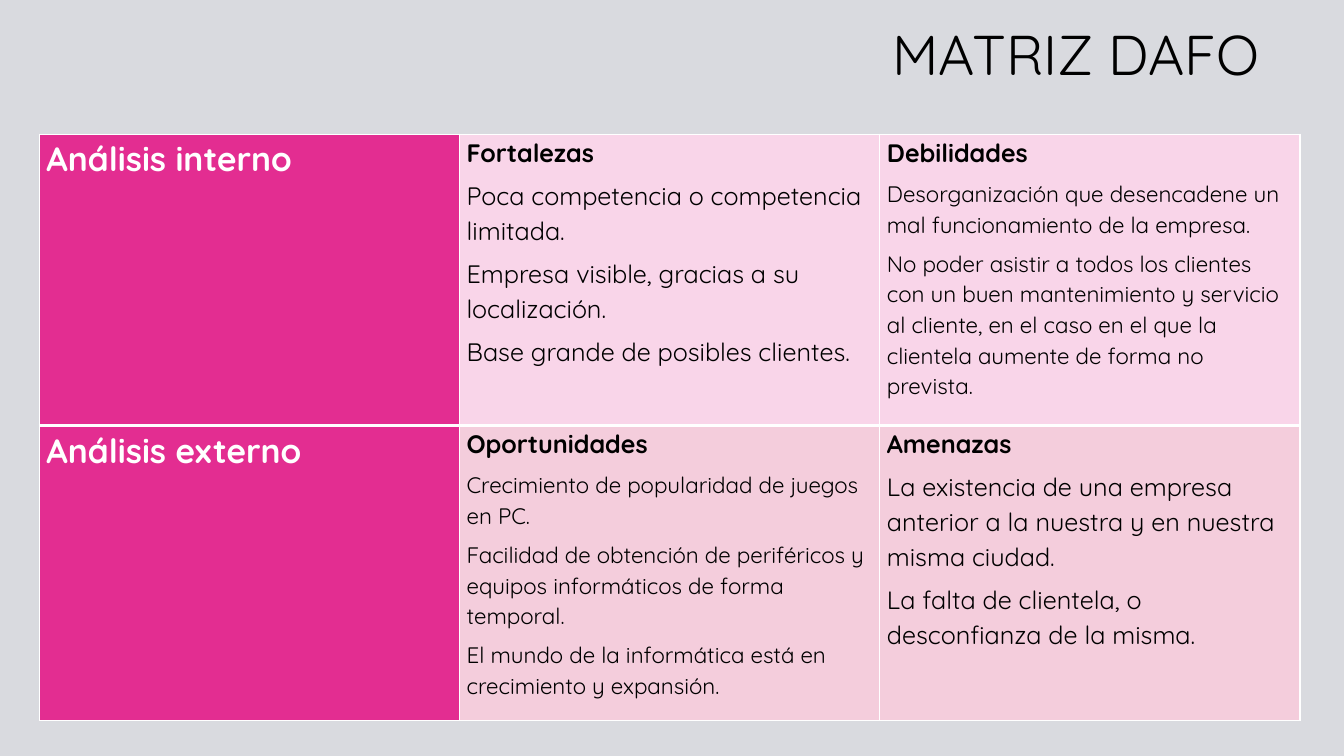
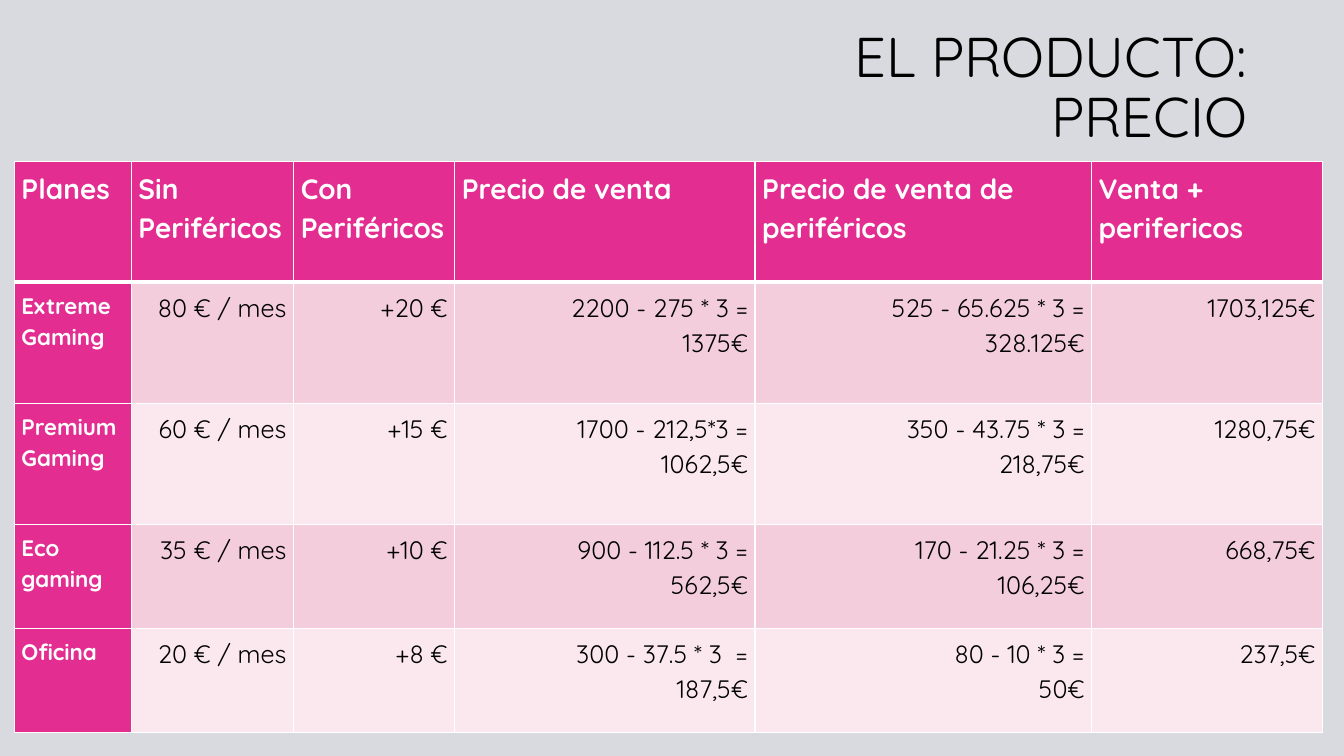
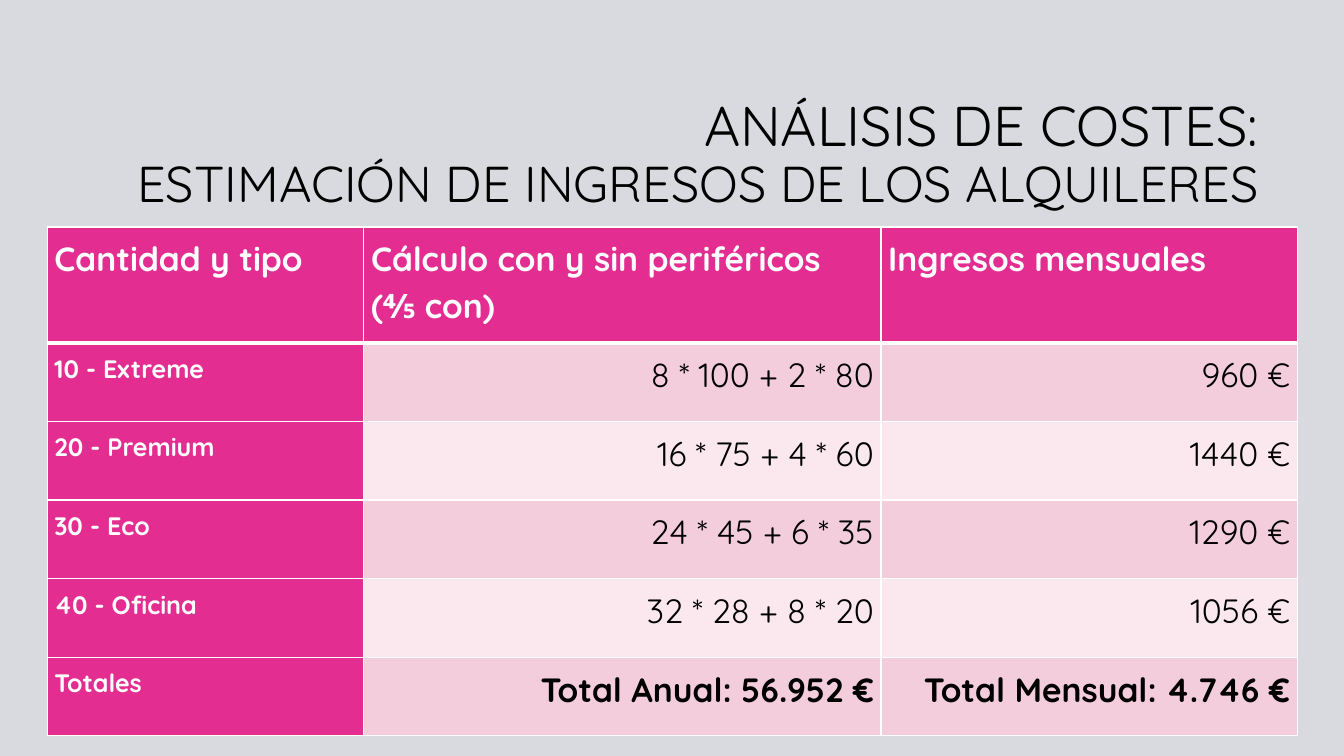
from lxml import etree
from pptx import Presentation
from pptx.dml.color import RGBColor
from pptx.enum.text import MSO_ANCHOR, MSO_AUTO_SIZE, PP_ALIGN
from pptx.oxml.ns import qn
from pptx.util import Cm, Pt

LEFT, RIGHT = PP_ALIGN.LEFT, PP_ALIGN.RIGHT
TOP, MIDDLE = MSO_ANCHOR.TOP, MSO_ANCHOR.MIDDLE
FIXED = MSO_AUTO_SIZE.NONE

GREY = RGBColor(0xD9, 0xDA, 0xDF)
BLACK = RGBColor(0x00, 0x00, 0x00)
WHITE = RGBColor(0xFF, 0xFF, 0xFF)
PINK = RGBColor(0xE3, 0x2D, 0x91)
LILAC = RGBColor(0xF9, 0xD5, 0xE9)
ROSE = RGBColor(0xF4, 0xCD, 0xDC)
PALE = RGBColor(0xFA, 0xE8, 0xEE)
FONT = "Quicksand"


def put(par, text, size=18, color=BLACK, bold=False, align=LEFT, lead=1.1, after=0):
    par.alignment = align
    par.line_spacing = lead
    par.space_before = Pt(0)
    par.space_after = Pt(after)
    run = par.add_run()
    run.text = text
    run.font.name = FONT
    run.font.size = Pt(size)
    run.font.bold = bold
    run.font.color.rgb = color


class Deck:
    def __init__(self):
        self.show = Presentation()
        self.show.slide_width = Cm(33.87)
        self.show.slide_height = Cm(19.05)
        back = self.show.slide_master.background.fill
        back.solid()
        back.fore_color.rgb = GREY
        self.slide = None

    def title(self, lines, left, top, width, height):
        self.slide = self.show.slides.add_slide(self.show.slide_layouts[5])
        box = self.slide.shapes.title
        box.left, box.top, box.width, box.height = map(Cm, (left, top, width, height))
        frame = box.text_frame
        frame.word_wrap = True
        frame.auto_size = FIXED
        frame.vertical_anchor = MIDDLE
        par = frame.paragraphs[0]
        for place, (text, size) in enumerate(lines):
            if place:
                par.add_line_break()
            put(par, text, size=size, align=RIGHT, lead=0.9)

    def grid(self, left, top, cols, rows):
        frame = self.slide.shapes.add_table(
            len(rows), len(cols), Cm(left), Cm(top), Cm(sum(cols)), Cm(sum(rows)))
        table = frame.table
        table.first_row = table.horz_banding = False
        for col, width in zip(table.columns, cols):
            col.width = Cm(width)
        for row, height in zip(table.rows, rows):
            row.height = Cm(height)
        return table

    def cell(self, table, row, col, fill, pars, pad=0.18, **style):
        cell = table.cell(row, col)
        cell.fill.solid()
        cell.fill.fore_color.rgb = fill
        cell.margin_left = cell.margin_right = Cm(0.18)
        cell.margin_top = cell.margin_bottom = Cm(pad)
        cell.vertical_anchor = TOP
        frame = cell.text_frame
        for place, (text, look) in enumerate(pars):
            par = frame.add_paragraph() if place else frame.paragraphs[0]
            put(par, text, **{**style, **look})
        self.edge(cell, row)

    def edge(self, cell, row):
        props = cell._tc.get_or_add_tcPr()
        wide = {"T": 3 if row == 1 else 1, "B": 3 if row == 0 else 1}
        for place, side in enumerate("LRTB"):
            line = etree.Element(qn("a:ln" + side), w=str(Pt(wide.get(side, 1))))
            paint = etree.SubElement(line, qn("a:solidFill"))
            etree.SubElement(paint, qn("a:srgbClr"), val=str(WHITE))
            props.insert(place, line)

    def prices(self, left, top, cols, rows, data, head, side, body, strong=()):
        table = self.grid(left, top, cols, rows)
        for row, texts in enumerate(data):
            for col, text in enumerate(texts):
                if row == 0 or col == 0:
                    fill = PINK
                    style = dict(size=side if row else head, color=WHITE, bold=True)
                else:
                    fill = ROSE if row % 2 else PALE
                    style = dict(size=body, align=RIGHT, bold=row in strong)
                pars = [(line, {}) for line in text.split("\n")]
                self.cell(table, row, col, fill, pars, **style)


def matrix(deck):
    deck.title([("MATRIZ DAFO", 40)], 8.05, 0.43, 23.93, 2.01)
    table = deck.grid(0.99, 3.38, [10.59] * 3, [7.34, 7.44])
    data = [
        ("Análisis interno", LILAC, [
            ("Fortalezas", 18, [
                "Poca competencia o competencia limitada.",
                "Empresa visible, gracias a su localización.",
                "Base grande de posibles clientes."]),
            ("Debilidades", 16, [
                "Desorganización que desencadene un mal funcionamiento de la empresa.",
                "No poder asistir a todos los clientes con un buen mantenimiento y "
                "servicio al cliente, en el caso en el que la clientela aumente de "
                "forma no prevista."])]),
        ("Análisis externo", ROSE, [
            ("Oportunidades", 16, [
                "Crecimiento de popularidad de juegos en PC.",
                "Facilidad de obtención de periféricos y equipos informáticos de "
                "forma temporal.",
                "El mundo de la informática está en crecimiento y expansión."]),
            ("Amenazas", 18, [
                "La existencia de una empresa anterior a la nuestra y en nuestra "
                "misma ciudad.",
                "La falta de clientela, o desconfianza de la misma."])]),
    ]
    for row, (name, fill, parts) in enumerate(data):
        label = [(name, dict(size=24, color=WHITE, bold=True))]
        deck.cell(table, row, 0, PINK, label, pad=0, after=6)
        for col, (head, size, items) in enumerate(parts, 1):
            pars = [(head, dict(bold=True))]
            pars += [(item, dict(size=size)) for item in items]
            deck.cell(table, row, col, fill, pars, pad=0, after=6)


def product(deck):
    deck.title([("EL PRODUCTO:", 40), ("PRECIO", 40)], 7.75, 0.46, 23.93, 3.58)
    data = [
        ("Planes", "Sin Periféricos", "Con Periféricos", "Precio de venta",
         "Precio de venta de periféricos", "Venta + perifericos"),
        ("Extreme Gaming", "80 € / mes", "+20 €", "2200 - 275 * 3 =\n1375€",
         "525 - 65.625 * 3 =\n328.125€", "1703,125€"),
        ("Premium Gaming", "60 € / mes", "+15 €", "1700 - 212,5*3 =\n1062,5€",
         "350 - 43.75 * 3 =\n218,75€", "1280,75€"),
        ("Eco gaming", "35 € / mes", "+10 €", "900 - 112.5 * 3 =\n562,5€",
         "170 - 21.25 * 3 =\n106,25€", "668,75€"),
        ("Oficina", "20 € / mes", "+8 €", "300 - 37.5 * 3  =\n187,5€",
         "80 - 10 * 3 =\n50€", "237,5€"),
    ]
    deck.prices(0.36, 4.06, [2.95, 4.09, 4.06, 7.57, 8.48, 5.82],
                [3.05] * 3 + [2.62] * 2, data, head=20, side=16, body=18)


def income(deck):
    deck.title([("ANÁLISIS DE COSTES:", 40),
                ("ESTIMACIÓN DE INGRESOS DE LOS ALQUILERES", 36)],
               2.97, 2.13, 29, 3.58)
    data = [
        ("Cantidad y tipo", "Cálculo con y sin periféricos (⅘ con)",
         "Ingresos mensuales"),
        ("10 - Extreme", "8 * 100 + 2 * 80", "960 €"),
        ("20 - Premium", "16 * 75 + 4 * 60", "1440 €"),
        ("30 - Eco", "24 * 45 + 6 * 35", "1290 €"),
        ("40 - Oficina", "32 * 28 + 8 * 20", "1056 €"),
        ("Totales", "Total Anual: 56.952 €", "Total Mensual: 4.746 €"),
    ]
    deck.prices(1.19, 5.72, [7.98, 13.03, 10.49], [2.92] + [1.98] * 5, data,
                head=24, side=18, body=24, strong=(5,))


def main():
    deck = Deck()
    matrix(deck)
    product(deck)
    income(deck)
    deck.show.save("out.pptx")


if __name__ == "__main__":
    main()
